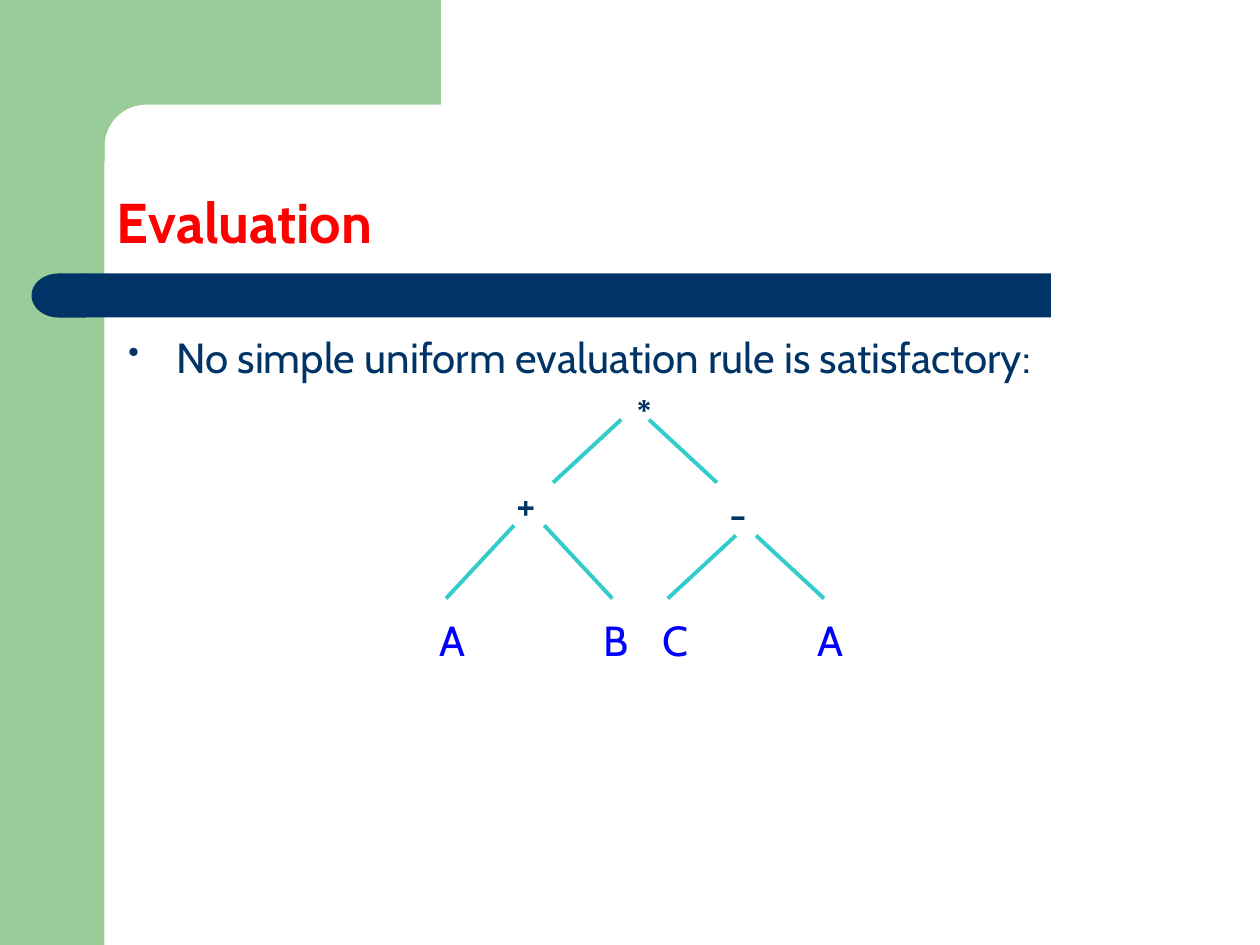
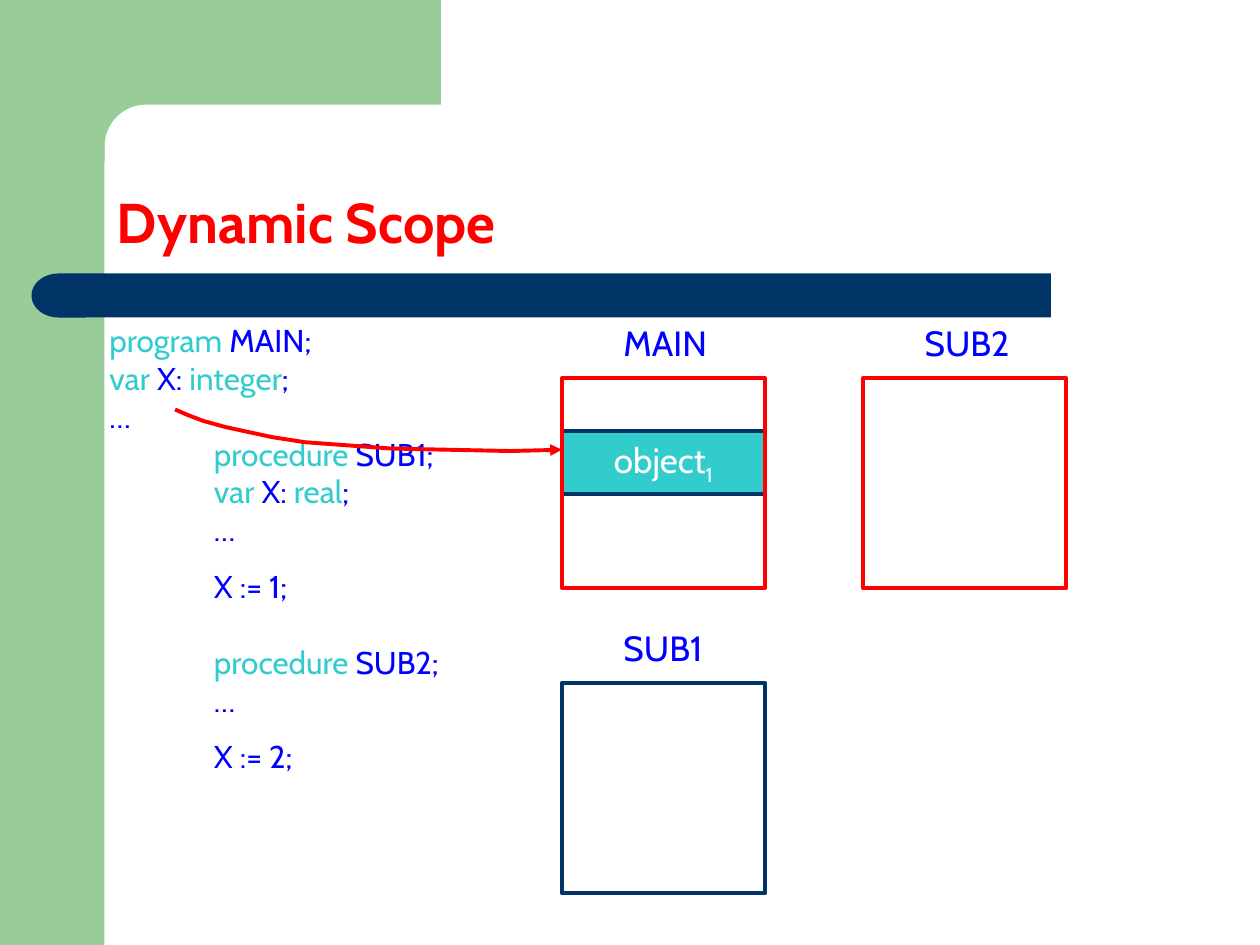
from math import cos, pi, sin
from lxml import etree
from pptx import Presentation
from pptx.dml.color import RGBColor
from pptx.enum.shapes import MSO_CONNECTOR, MSO_SHAPE
from pptx.enum.text import MSO_ANCHOR, PP_ALIGN
from pptx.oxml.ns import qn
from pptx.util import Inches, Pt

RECT = MSO_SHAPE.RECTANGLE
DELAY = MSO_SHAPE.FLOWCHART_DELAY
LINE = MSO_CONNECTOR.STRAIGHT
BOTTOM, MIDDLE = MSO_ANCHOR.BOTTOM, MSO_ANCHOR.MIDDLE
CENTER = PP_ALIGN.CENTER

GREEN = RGBColor(0x99, 0xCC, 0x99)
NAVY = RGBColor(0x00, 0x33, 0x66)
RED = RGBColor(0xFF, 0x00, 0x00)
BLUE = RGBColor(0x00, 0x00, 0xFF)
TEAL = RGBColor(0x33, 0xCC, 0xCC)
WHITE = RGBColor(0xFF, 0xFF, 0xFF)
FONT = "Cabin"
STROKE = 2.25

RULE = "No simple uniform evaluation rule is satisfactory:"
NODES = [
    ("\u2217", 4.85, 2.92, NAVY, "Arial"),
    ("+", 4, 3.75, NAVY, FONT),
    ("-", 5.69, 3.83, NAVY, FONT),
    ("A", 3.39, 4.83, BLUE, FONT),
    ("B", 4.69, 4.83, BLUE, FONT),
    ("C", 5.16, 4.83, BLUE, FONT),
    ("A", 6.39, 4.83, BLUE, FONT),
]
FORKS = [(5.04, 0.11, 3.33, 3.83), (4.2, 0.12, 4.17, 4.75), (5.92, 0.08, 4.25, 4.75)]
REACH = 0.54

CODE = [
    ("program |MAIN;", 0, 1, 0),
    ("var |X: |integer|;", 0, 1, 0),
    ("|\u2026", 0, 1, 0),
    ("procedure| SUB1;", 1, 1, 0),
    ("var| X: |real|;", 1, 1, 0),
    ("|\u2026", 1, 1, 0),
    ("|X := 1;", 1, 1.5, 0),
    ("procedure| SUB2;", 1, 1, 21.8),
    ("|\u2026", 1, 1, 0),
    ("|X := 2;", 1, 1.5, 0),
]
FRAMES = [("MAIN", 0, 0, RED), ("SUB1", 0, 1, NAVY), ("SUB2", 1, 0, RED)]
LEFT, TOP, STEP, DROP = 4.46, 3, 2.39, 2.42
WIDE, HIGH = 1.61, 1.67
ARROW = [(1.39, 3.25), (1.48, 3.29), (1.61, 3.34), (1.79, 3.39), (2.16, 3.47),
         (2.42, 3.51), (2.69, 3.53), (3.1, 3.56), (3.55, 3.57), (4.05, 3.58), (4.46, 3.57)]


def paint(shape, fill=None, edge=None):
    shape.shadow.inherit = False
    if fill is None:
        shape.fill.background()
    else:
        shape.fill.solid()
        shape.fill.fore_color.rgb = fill
    if edge is None:
        shape.line.fill.background()
    else:
        shape.line.color.rgb = edge
        shape.line.width = Pt(STROKE)
    return shape


def block(slide, kind, x, y, w, h, fill=None, edge=None):
    shape = slide.shapes.add_shape(kind, Inches(x), Inches(y), Inches(w), Inches(h))
    return paint(shape, fill, edge)


def trace(slide, dots, closed, fill=None, edge=None):
    spots = [(Inches(x), Inches(y)) for x, y in dots]
    pen = slide.shapes.build_freeform(*spots[0])
    pen.add_line_segments(spots[1:], close=closed)
    return paint(pen.convert_to_shape(), fill, edge)


def style(run, size, color, font=FONT, bold=False):
    run.font.size, run.font.name, run.font.bold = Pt(size), font, bold
    run.font.color.rgb = color


def frame(slide, x, y, w, h):
    box = slide.shapes.add_textbox(Inches(x), Inches(y), Inches(w), Inches(h))
    box.text_frame.word_wrap = True
    return box.text_frame


def label(slide, text, x, y, w, h, size, color, font=FONT, bold=False):
    area = frame(slide, x, y, w, h)
    area.text = text
    style(area.paragraphs[0].runs[0], size, color, font, bold)
    return area


def indent(para, left, first):
    props = para._p.get_or_add_pPr()
    props.set("marL", str(Inches(left)))
    props.set("indent", str(Inches(first)))
    return props


def base(title):
    slide = deck.slides.add_slide(deck.slide_layouts[6])
    block(slide, RECT, 0, 0, 0.83, 7.5, GREEN)
    turns = [pi / 2 * i / 12 for i in range(13)]
    arc = [(1.16 - 0.33 * sin(t), 1.16 - 0.33 * cos(t)) for t in turns]
    trace(slide, [(3.5, 0), (3.5, 0.83), *arc, (0.83, 1.28), (0.5, 1.28), (0.5, 0)], True, GREEN)
    block(slide, RECT, 0.67, 2.17, 7.67, 0.35, NAVY)
    block(slide, DELAY, 0.25, 2.17, 0.43, 0.35, NAVY).rotation = 180
    area = label(slide, title, 0.83, 0.83, 8.67, 1.25, 32, RED, bold=True)
    area.vertical_anchor = BOTTOM
    area.paragraphs[0].line_spacing = 0.9
    return slide


def tree():
    slide = base("Evaluation")
    area = label(slide, RULE, 0.92, 2.58, 8.41, 1.21, 24, NAVY)
    props = indent(area.paragraphs[0], 0.38, -0.38)
    etree.SubElement(props, qn("a:buSzPct")).set("val", "75000")
    etree.SubElement(props, qn("a:buChar")).set("char", "\u2022")
    for text, x, y, color, font in NODES:
        label(slide, text, x, y, 0.39, 0.5, 24, color, font)
    for mid, gap, top, low in FORKS:
        for side in (-1, 1):
            start = mid + side * gap
            ends = (start, top, start + side * REACH, low)
            line = slide.shapes.add_connector(LINE, *map(Inches, ends))
            line.line.color.rgb, line.line.width = TEAL, Pt(STROKE)
            etree.SubElement(line._element.spPr, qn("a:effectLst"))


def scope():
    slide = base("Dynamic Scope")
    area = frame(slide, 0.77, 2.5, 8.5, 4.5)
    for row, (text, level, space, gap) in enumerate(CODE):
        para = area.paragraphs[0] if row == 0 else area.add_paragraph()
        para.line_spacing, para.space_before = float(space), Pt(gap)
        indent(para, 0.83 * level, 0)
        for spot, part in enumerate(text.split("|")):
            if part:
                run = para.add_run()
                run.text = part
                style(run, 18, BLUE if spot % 2 else TEAL)
    curve = trace(slide, ARROW, False, edge=RED)
    etree.SubElement(curve.line._get_or_add_ln(), qn("a:tailEnd")).set("type", "triangle")
    cell = block(slide, RECT, LEFT, 3.42, WIDE, 0.5, TEAL, NAVY).text_frame
    cell.word_wrap, cell.vertical_anchor = False, MIDDLE
    para = cell.paragraphs[0]
    para.alignment = CENTER
    for part in ("object", "1"):
        run = para.add_run()
        run.text = part
        style(run, 20, WHITE)
    run._r.get_or_add_rPr().set("baseline", "-25000")
    for name, col, row, color in FRAMES:
        x, y = LEFT + col * STEP, TOP + row * DROP
        block(slide, RECT, x, y, WIDE, HIGH, edge=color)
        label(slide, name, x + 0.39, y - 0.5, 1.1, 0.43, 20, BLUE)


deck = Presentation()
deck.slide_width, deck.slide_height = Inches(10), Inches(7.5)
tree()
scope()
deck.save("out.pptx")
